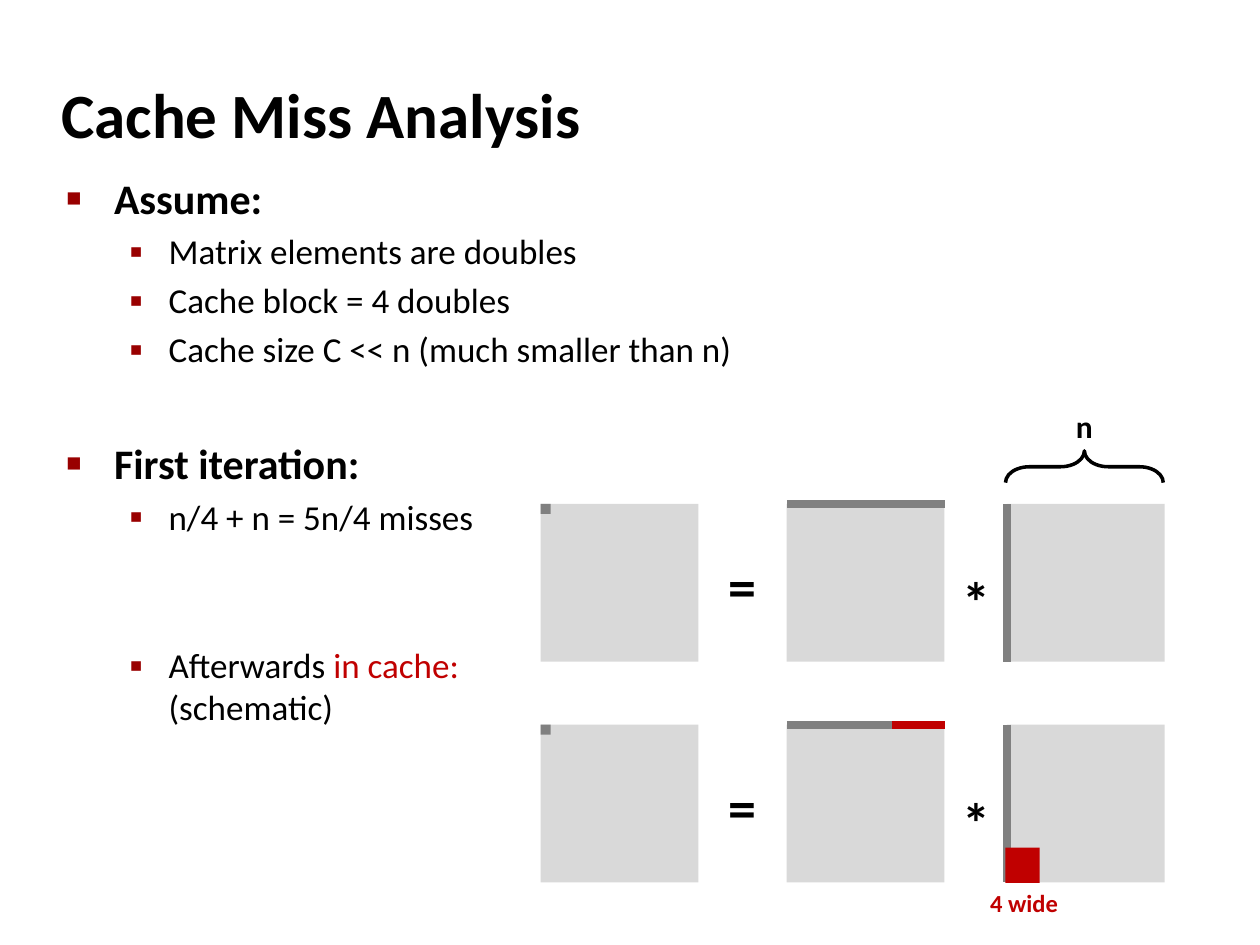
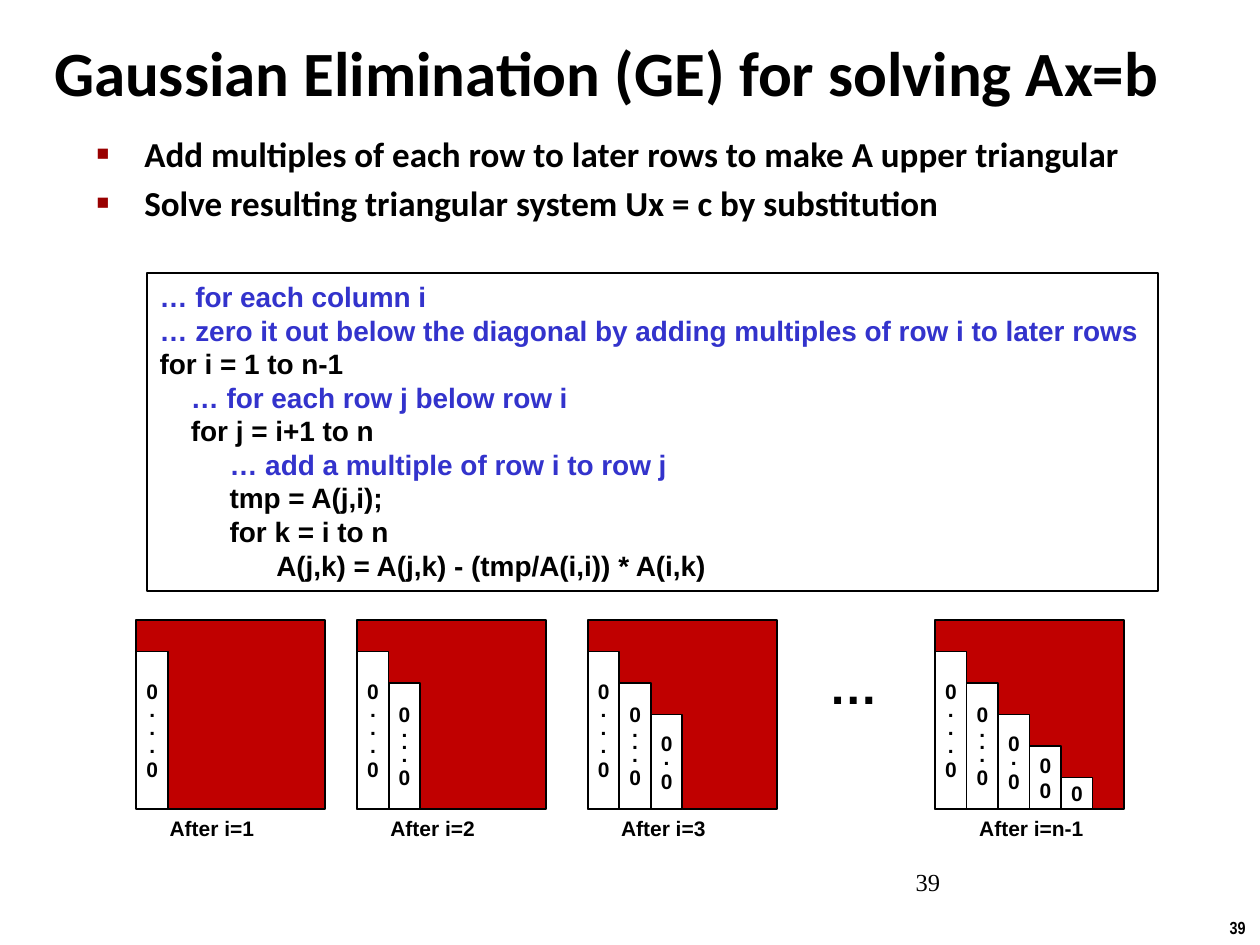
from copy import deepcopy

from lxml import etree
from pptx import Presentation
from pptx.dml.color import RGBColor
from pptx.enum.shapes import MSO_CONNECTOR, MSO_SHAPE
from pptx.enum.text import MSO_ANCHOR, PP_ALIGN
from pptx.oxml.ns import qn
from pptx.util import Cm, Pt

RECTANGLE = MSO_SHAPE.RECTANGLE
LEFT_BRACE = MSO_SHAPE.LEFT_BRACE
STRAIGHT = MSO_CONNECTOR.STRAIGHT
MIDDLE = MSO_ANCHOR.MIDDLE
CENTER = PP_ALIGN.CENTER

COLORS = {
    "black": "000000",
    "white": "FFFFFF",
    "matrix": "D9D9D9",
    "accessed": "808080",
    "red": "C00000",
    "bullet": "990000",
    "comment": "3333CC",
}
# Per outline level: character, size in percent, left margin and hanging indent in cm
BULLETS = [("■", 60, 0.96, 0.96), ("▪", 110, 2.06, 0.79)]


def add_rect(slide, left, top, width, height, fill=None, outlined=False):
    rect = slide.shapes.add_shape(RECTANGLE, Cm(left), Cm(top), Cm(width), Cm(height))
    rect.shadow.inherit = False
    if fill:
        rect.fill.solid()
        rect.fill.fore_color.rgb = RGBColor.from_string(COLORS[fill])
    else:
        rect.fill.background()
    if outlined:
        rect.line.color.rgb = RGBColor.from_string(COLORS["black"])
        rect.line.width = Pt(1)
    else:
        rect.line.fill.background()
    return rect


def write(shape, text, size, font="Calibri", color="black", bold=True, wrap=False):
    """Fill a shape with text in one format and return its paragraphs."""
    frame = shape.text_frame
    frame.word_wrap = wrap
    frame.text = text
    for paragraph in frame.paragraphs:
        for run in paragraph.runs:
            run.font.size = Pt(size)
            run.font.name = font
            run.font.bold = bold
            run.font.color.rgb = RGBColor.from_string(COLORS[color])
    return frame.paragraphs


prs = Presentation()
prs.slide_width = Cm(25.4)
prs.slide_height = Cm(19.05)

# Titles and outlines; each item is level, size, space before, text
outlines = [
    ("Cache Miss Analysis", (0.99, 1.22, 21.08, 2.11), (1.09, 3.35, 21.95, 8.48), [
        (0, 24, 4.8, "Assume:"),
        (1, 20, 4, "Matrix elements are doubles"),
        (1, 20, 4, "Cache block = 4 doubles"),
        (1, 20, 4, "Cache size C << n (much smaller than n)"),
        (0, 24, 38.9, "First iteration:"),
        (1, 20, 4, "n/4 + n = 5n/4 misses"),
        (1, 20, 60.8, "Afterwards \v(schematic)"),
    ]),
    ("Gaussian Elimination (GE) for solving Ax=b", (0.84, 0.86, 24.13, 1.17),
     (1.7, 2.54, 22.22, 2.59), [
        (0, 20, 4, "Add multiples of each row to later rows to make A upper triangular"),
        (0, 20, 4, "Solve resulting triangular system Ux = c by substitution"),
    ]),
]
slides = []
outline_paragraphs = []
for title, title_box, outline_box, items in outlines:
    slide = prs.slides.add_slide(prs.slide_layouts[6])
    heading = slide.shapes.add_textbox(*map(Cm, title_box))
    heading.text_frame.vertical_anchor = MIDDLE
    write(heading, title, 36, wrap=True)

    outline = slide.shapes.add_textbox(*map(Cm, outline_box))
    paragraphs = write(outline, "\n".join(item[3] for item in items), 20, wrap=True)
    for paragraph, (level, size, space_before, _) in zip(paragraphs, items):
        paragraph.level = level
        paragraph.space_before = Pt(space_before)
        for run in paragraph.runs:
            run.font.size = Pt(size)
            run.font.bold = level == 0
        character, percent, margin, hanging = BULLETS[level]
        props = paragraph._p.get_or_add_pPr()
        props.set("marL", str(Cm(margin)))
        props.set("indent", str(-Cm(hanging)))
        bullet_color = etree.SubElement(props, qn("a:buClr"))
        etree.SubElement(bullet_color, qn("a:srgbClr"), val=COLORS["bullet"])
        etree.SubElement(props, qn("a:buSzPct"), val=str(percent * 1000))
        etree.SubElement(props, qn("a:buFont"), typeface="Arial")
        etree.SubElement(props, qn("a:buChar"), char=character)
    slides.append(slide)
    outline_paragraphs.append(paragraphs)

cache_slide, gauss_slide = slides

# Cache misses: the highlighted words go between "Afterwards" and the line break
afterwards = outline_paragraphs[0][-1]
first_run = afterwards.runs[0]._r
first_run.addnext(deepcopy(first_run))
in_cache = afterwards.runs[1]
in_cache.text = "in cache:"
in_cache.font.color.rgb = RGBColor.from_string(COLORS["red"])

# Cache misses: result = row matrix * column matrix, drawn twice
MATRIX = 3.18
RESULT_X, ROW_X, COLUMN_X = 10.9, 15.86, 20.3
FIRST_Y, AFTER_Y = 10.16, 14.61
for top in (FIRST_Y, AFTER_Y):
    for left in (RESULT_X, ROW_X, COLUMN_X):
        add_rect(cache_slide, left, top, MATRIX, MATRIX, "matrix")
    add_rect(cache_slide, RESULT_X, top, 0.2, 0.2, "accessed")
    for operator, left, drop in (("=", 14.43, 0.84), ("*", 19.16, 1.14)):
        sign = cache_slide.shapes.add_textbox(Cm(left), Cm(top + drop), Cm(1.09), Cm(1.63))
        write(sign, operator, 32)

row_end = ROW_X + MATRIX
accesses = [
    (ROW_X, FIRST_Y, row_end, FIRST_Y, "accessed"),
    (COLUMN_X, FIRST_Y, COLUMN_X, FIRST_Y + MATRIX, "accessed"),
    (ROW_X, AFTER_Y, row_end, AFTER_Y, "accessed"),
    (COLUMN_X, AFTER_Y, COLUMN_X, AFTER_Y + MATRIX, "accessed"),
    (row_end - 1.06, AFTER_Y, row_end, AFTER_Y, "red"),
]
for start_x, start_y, end_x, end_y, color in accesses:
    access = cache_slide.shapes.add_connector(
        STRAIGHT, Cm(start_x), Cm(start_y), Cm(end_x), Cm(end_y))
    access.line.color.rgb = RGBColor.from_string(COLORS[color])
    access.line.width = Pt(4.5)
    etree.SubElement(access._element.spPr, qn("a:effectLst"))

add_rect(cache_slide, 20.27, 17.09, 0.69, 0.71, "red")
block_width = cache_slide.shapes.add_textbox(Cm(19.71), Cm(17.78), Cm(1.88), Cm(0.86))
write(block_width, "4 wide", 14, color="red")

brace = cache_slide.shapes.add_shape(LEFT_BRACE, Cm(21.54), Cm(7.82), Cm(0.64), Cm(MATRIX))
brace.rotation = 90
brace.adjustments[0] = 0.75
brace.shadow.inherit = False
brace.fill.background()
brace.line.color.rgb = RGBColor.from_string(COLORS["black"])
brace.line.width = Pt(2)
dimension = cache_slide.shapes.add_textbox(Cm(21.44), Cm(8.08), Cm(0.86), Cm(1.02))
write(dimension, "n", 18)

# Gaussian elimination: pseudocode with the indent of each line in cm
code = [
    (0, "… for each column i"),
    (0, "… zero it out below the diagonal by adding multiples of row i to later rows"),
    (0, "for i = 1 to n-1"),
    (0.63, "… for each row j below row i"),
    (0.63, "for j = i+1 to n"),
    (1.41, "… add a multiple of row i to row j"),
    (1.41, "tmp = A(j,i);"),
    (1.41, "for k = i to n"),
    (2.35, "A(j,k) = A(j,k) - (tmp/A(i,i)) * A(i,k)"),
]
listing = add_rect(gauss_slide, 2.97, 5.51, 20.37, 6.4, outlined=True)
listing.text_frame.vertical_anchor = MSO_ANCHOR.TOP
code_lines = write(listing, "\n".join(line for _, line in code), 16, "Arial", wrap=True)
for paragraph, (indent, line) in zip(code_lines, code):
    paragraph.alignment = PP_ALIGN.LEFT
    paragraph._p.get_or_add_pPr().set("marL", str(Cm(indent)))
    if line.startswith("…"):
        paragraph.runs[0].font.color.rgb = RGBColor.from_string(COLORS["comment"])

# Gaussian elimination: zeroed columns after each step
SIDE = 3.81
CELL = SIDE / 6
STEP_Y = 12.5
ZEROS = ["0...0", "0...0", "0.0", "00", "0"]
steps = [
    (2.75, 1, "After i=1", 0.42, 2.21),
    (7.2, 2, "After i=2", 0.42, 2.21),
    (11.85, 3, "After i=3", 0.42, 2.21),
    (18.85, 5, "After i=n-1", 0.64, 2.62),
]
for left, zeroed, caption, caption_shift, caption_width in steps:
    add_rect(gauss_slide, left, STEP_Y, SIDE, SIDE, "red", outlined=True)
    for index, entries in enumerate(ZEROS[:zeroed]):
        drop = (index + 1) * CELL
        column = add_rect(gauss_slide, left + index * CELL, STEP_Y + drop,
                          CELL, SIDE - drop, "white", outlined=True)
        frame = column.text_frame
        frame.vertical_anchor = MIDDLE
        frame.margin_left = frame.margin_right = frame.margin_top = frame.margin_bottom = 0
        for paragraph in write(column, "\n".join(entries), 12, "Arial"):
            paragraph.alignment = CENTER
            if paragraph.text == ".":
                paragraph.line_spacing = 0.7 if index == 0 else 0.5
    label = gauss_slide.shapes.add_textbox(
        Cm(left + caption_shift), Cm(STEP_Y + SIDE), Cm(caption_width), Cm(0.76))
    write(label, caption, 12, "Arial")

ellipsis = gauss_slide.shapes.add_textbox(Cm(16.46), Cm(13.08), Cm(1.5), Cm(1.45))
write(ellipsis, "…", 28, "Arial")

page_number = gauss_slide.shapes.add_textbox(Cm(18.21), Cm(17.35), Cm(5.28), Cm(1.27))
write(page_number, "39", 14, "Times New Roman", bold=False, wrap=True)
corner_number = gauss_slide.shapes.add_textbox(Cm(24.54), Cm(18.36), Cm(0.86), Cm(0.69))
write(corner_number, "39", 10, "Arial Narrow")

prs.save("out.pptx")
